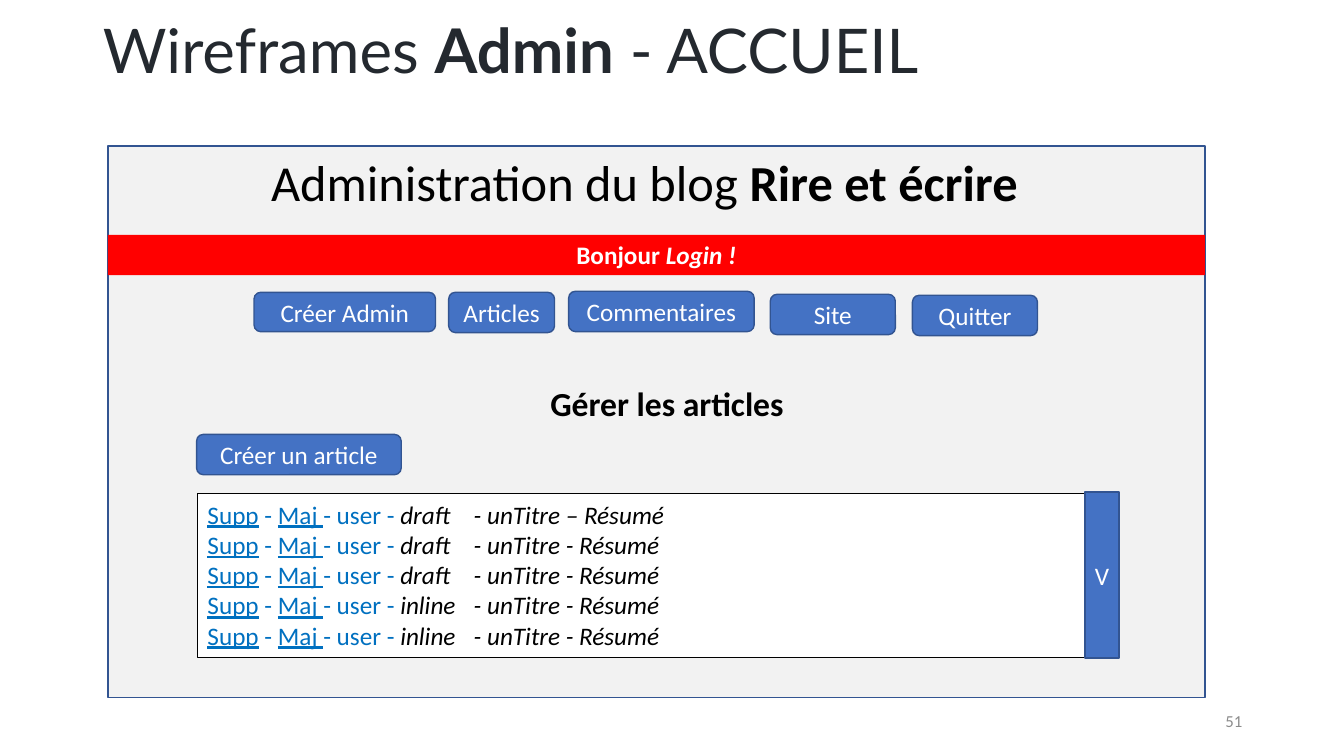
"""Builds the admin home wireframe slide of the blog."""
from lxml.etree import SubElement
from pptx import Presentation
from pptx.dml.color import RGBColor
from pptx.enum.shapes import MSO_SHAPE as SHAPE
from pptx.enum.text import MSO_ANCHOR as ANCHOR, MSO_AUTO_SIZE as AUTO, PP_ALIGN as ALIGN
from pptx.oxml.ns import qn
from pptx.util import Emu, Pt

PX = 9144
BLUE, NAVY, WHITE, BLACK, LINK = "4472C4", "325491", "FFFFFF", "000000", "0070C0"


def add_box(box, kind=None, fill=None, line=None, width=1):
    """Adds a shape, or a text box when no kind is given."""
    at = [Emu(v * PX) for v in box]
    if kind is None:
        s = slide.shapes.add_textbox(*at)
    else:
        s = slide.shapes.add_shape(kind, *at)
        s.shadow.inherit = False
        s.fill.solid()
        s.fill.fore_color.rgb = RGBColor.from_string(fill)
        if line:
            s.line.color.rgb = RGBColor.from_string(line)
            s.line.width = Pt(width)
        else:
            s.line.fill.background()
    s.text_frame.word_wrap = True
    return s


def write(s, runs, size, color, align=ALIGN.LEFT, anchor=ANCHOR.TOP, font="Calibri"):
    """Fills the first paragraph with (text, style letters) runs."""
    tf = s.text_frame
    tf.auto_size = AUTO.NONE
    tf.vertical_anchor = anchor
    p = tf.paragraphs[0]
    p.alignment = align
    p.font.name, p.font.size = font, Pt(size)
    p.font.color.rgb = RGBColor.from_string(color)
    for text, style in runs:
        r = p.add_run()
        r.text = text
        r.font.bold = "b" in style
        r.font.italic = "i" in style
    return p


prs = Presentation()
prs.slide_width, prs.slide_height = Emu(1333 * PX), Emu(750 * PX)
slide = prs.slides.add_slide(prs.slide_layouts[5])

title = slide.shapes.title
title.left, title.top, title.width, title.height = [Emu(v * PX) for v in (92, 14, 1150, 79)]
p = write(title, [("Wireframes ", ""), ("Admin", "b"), (" - ACCUEIL", "")],
          44, "24292F", anchor=ANCHOR.MIDDLE, font="Lato")
p.line_spacing = 0.9

add_box((107, 145, 1088, 547), SHAPE.RECTANGLE, "F2F2F2", NAVY)
write(add_box((259, 145, 781, 71)),
      [("Administration du blog ", ""), ("Rire et écrire", "b")], 36, BLACK)
banner = add_box((107, 233, 1088, 40), SHAPE.RECTANGLE, "FF0000")
write(banner, [("Bonjour ", "b"), ("Login !", "bi")], 18, WHITE, ALIGN.CENTER)
write(add_box((387, 375, 549, 50)), [("Gérer les articles", "b")], 24, BLACK, ALIGN.CENTER)

articles = [("draft", "–"), ("draft", "-"), ("draft", "-"), ("inline", "-"), ("inline", "-")]
tf = add_box((196, 490, 914, 162), SHAPE.RECTANGLE, WHITE, BLACK, 0.75).text_frame
tf.vertical_anchor = ANCHOR.TOP
for i, (state, dash) in enumerate(articles):
    p = tf.paragraphs[0] if i == 0 else tf.add_paragraph()
    p.alignment = ALIGN.LEFT
    p.font.name, p.font.size = "Calibri", Pt(18)
    tabs = SubElement(p._p.get_or_add_pPr(), qn("a:tabLst"))
    p._p.pPr.insert(0, tabs)
    SubElement(tabs, qn("a:tab"), pos=str(264 * PX), algn="l")
    for text, color, underline, italic in (
            ("Supp", LINK, True, False), (" - ", LINK, False, False),
            ("Maj ", LINK, True, False), ("- user - ", LINK, False, False),
            (f"{state}\t- unTitre {dash} Résumé", BLACK, False, True)):
        r = p.add_run()
        r.text = text
        r.font.color.rgb = RGBColor.from_string(color)
        r.font.underline, r.font.italic = underline, italic

buttons = [
    ("Créer Admin", (252, 290, 180, 39), SHAPE.ROUNDED_RECTANGLE),
    ("Articles", (445, 290, 105, 40), SHAPE.ROUNDED_RECTANGLE),
    ("Commentaires", (564, 289, 184, 40), SHAPE.ROUNDED_RECTANGLE),
    ("Site", (764, 292, 124, 40), SHAPE.ROUNDED_RECTANGLE),
    ("Quitter", (905, 293, 124, 40), SHAPE.ROUNDED_RECTANGLE),
    ("Créer un article", (195, 431, 203, 40), SHAPE.ROUNDED_RECTANGLE),
    ("V", (1076, 488, 34, 165), SHAPE.RECTANGLE),
]
for label, box, kind in buttons:
    write(add_box(box, kind, BLUE, NAVY), [(label, "")], 18, WHITE, ALIGN.CENTER, ANCHOR.MIDDLE)

write(add_box((942, 695, 300, 40)), [("51", "")], 12, "8C8C8C", ALIGN.RIGHT, ANCHOR.MIDDLE)

prs.save("out.pptx")
